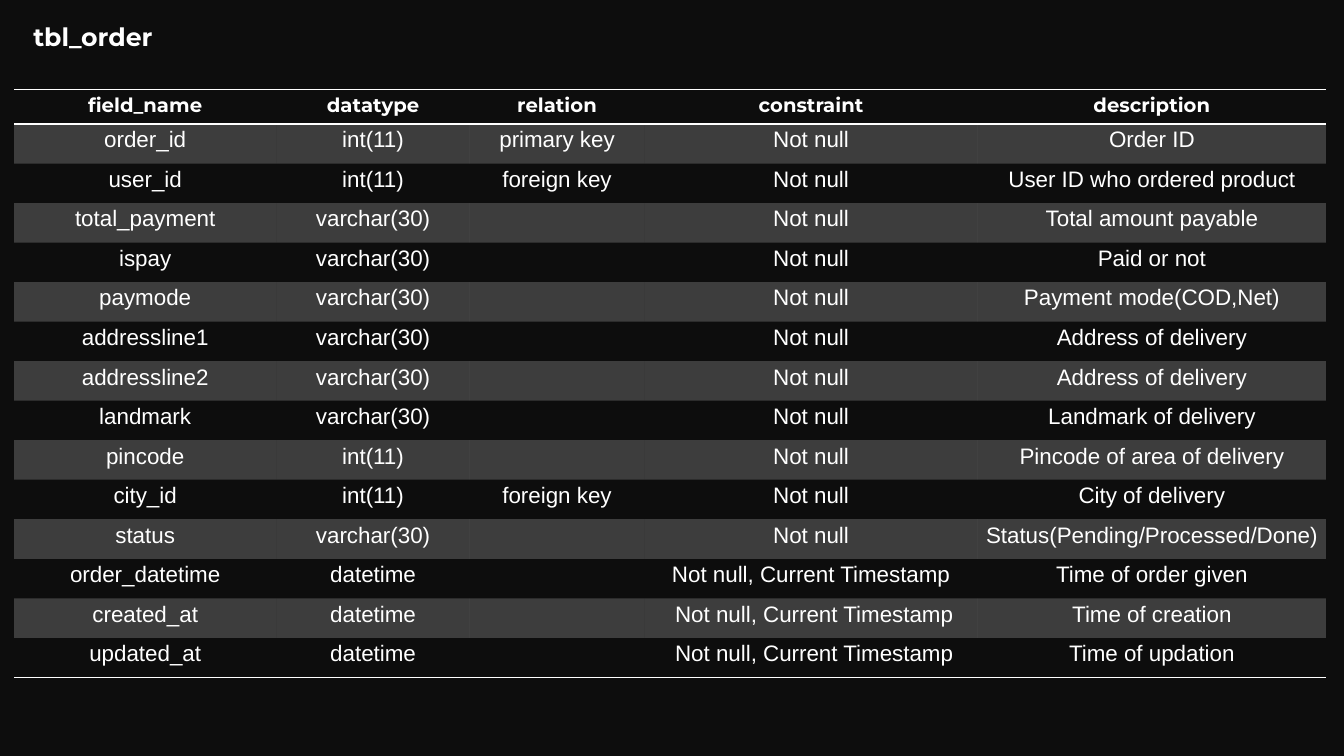
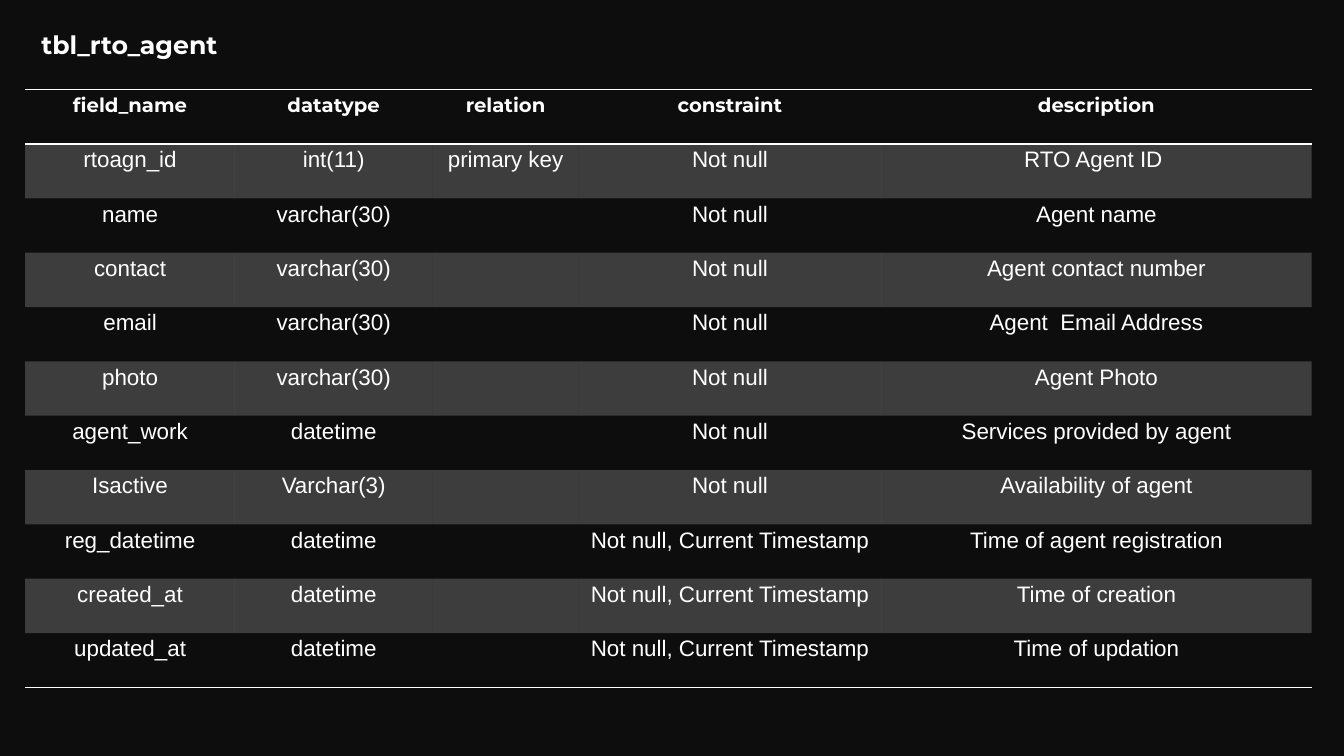
from dataclasses import astuple, dataclass

from lxml import etree
from pptx import Presentation
from pptx import util as u
from pptx.dml.color import RGBColor
from pptx.enum import text
from pptx.oxml.ns import qn

# Shared style
BACKGROUND = RGBColor(0x0D, 0x0D, 0x0D)
WHITE = RGBColor(0xFF, 0xFF, 0xFF)
HEAD_FONT, BODY_FONT = "Montserrat", "Arial"
BAND_ALPHA = 20
RULE_WIDTH = u.Pt(1)
PLAIN_STYLE = "{2D5ABB26-0587-4C30-8999-92F81FD0307C}"
TABLE_TOP = 0.89
TITLE_WIDTH, TITLE_HEIGHT = 3.08, 0.4
HEADINGS = ("field_name", "datatype", "relation", "constraint", "description")
STAMP = "Not null, Current Timestamp"
PADDED_STAMP = " " + STAMP


@dataclass
class Field:
    name: str
    datatype: str
    relation: str
    constraint: str
    description: str


@dataclass
class TableSlide:
    title: str
    title_at: tuple[float, float]
    left: float
    columns: tuple[float, ...]
    head_height: float
    row_height: float
    fields: list[Field]


ORDER = TableSlide(
    "tbl_order", (0.23, 0.16), 0.14, (2.6, 1.92, 1.73, 3.31, 3.45), 0.34, 5.49 / 14,
    [
        Field("order_id", "int(11)", "primary key", "Not null", "Order ID"),
        Field("user_id", "int(11)", "foreign key", "Not null", "User ID who ordered product"),
        Field("total_payment", "varchar(30)", "", "Not null", "Total amount payable"),
        Field("ispay", "varchar(30)", "", "Not null", "Paid or not"),
        Field("paymode", "varchar(30)", "", "Not null", "Payment mode(COD,Net)"),
        Field("addressline1", "varchar(30)", "", "Not null", "Address of delivery"),
        Field("addressline2", "varchar(30)", "", "Not null", "Address of delivery"),
        Field("landmark", "varchar(30)", "", "Not null", "Landmark of delivery"),
        Field("pincode", "int(11)", "", "Not null", "Pincode of area of delivery"),
        Field("city_id", "int(11)", "foreign key", "Not null", "City of delivery"),
        Field("status", "varchar(30)", "", "Not null", "Status(Pending/Processed/Done)"),
        Field("order_datetime", "datetime", "", STAMP, "Time of order given"),
        Field("created_at", "datetime", "", PADDED_STAMP, "Time of creation"),
        Field("updated_at", "datetime", "", PADDED_STAMP, "Time of updation"),
    ],
)

AGENT = TableSlide(
    "tbl_rto_agent", (0.31, 0.24), 0.25, (2.08, 1.96, 1.45, 3, 4.27), 5.93 / 11, 5.93 / 11,
    [
        Field("rtoagn_id", "int(11)", "primary key", "Not null", "RTO Agent ID "),
        Field("name", "varchar(30)", "", "Not null", "Agent name"),
        Field("contact", "varchar(30)", "", "Not null", "Agent contact number"),
        Field("email", "varchar(30)", "", "Not null", "Agent  Email Address"),
        Field("photo", "varchar(30)", "", "Not null", "Agent Photo"),
        Field("agent_work", "datetime", "", "Not null", "Services provided by agent"),
        Field("Isactive", "Varchar(3)", "", "Not null", "Availability of agent"),
        Field("reg_datetime", "datetime", "", STAMP, "Time of agent registration"),
        Field("created_at", "datetime", "", STAMP, "Time of creation"),
        Field("updated_at", "datetime", "", STAMP, "Time of updation"),
    ],
)


def write(p, words: str, *, size: float, font: str, bold: bool = False,
          align=text.PP_ALIGN.LEFT) -> None:
    """Put one formatted run into a paragraph."""
    p.alignment = align
    r = p.add_run()
    r.text = words
    r.font.size, r.font.name, r.font.bold = u.Pt(size), font, bold
    r.font.color.rgb = WHITE


def add_rule(cell, side: str) -> None:
    """Draw a white border on one side of a cell: T or B."""
    ln = etree.SubElement(cell._tc.get_or_add_tcPr(), qn(f"a:ln{side}"), w=str(RULE_WIDTH))
    fill = etree.SubElement(ln, qn("a:solidFill"))
    etree.SubElement(fill, qn("a:srgbClr"), val=str(WHITE))


def fill_band(cell) -> None:
    """Give a cell the translucent band colour."""
    cell.fill.solid()
    cell.fill.fore_color.rgb = WHITE
    color = cell._tc.tcPr.find(f".//{qn('a:solidFill')}[last()]/{qn('a:srgbClr')}")
    etree.SubElement(color, qn("a:alpha"), val=str(BAND_ALPHA * 1000))


def format_cell(cell, words: str, row: int, last: int) -> None:
    cell.margin_left = cell.margin_right = u.Inches(0.07)
    cell.margin_top = cell.margin_bottom = 0
    if words:
        p = cell.text_frame.paragraphs[0]
        p.line_spacing, p.space_after = 1.15, u.Pt(10)
        head = row == 0
        write(p, words, size=14 if head else 16, font=HEAD_FONT if head else BODY_FONT,
              bold=head, align=text.PP_ALIGN.CENTER)
    # Rules around the header and under the last row
    if row == 0:
        add_rule(cell, "T")
    if row in (0, last):
        add_rule(cell, "B")
    # Odd rows are banded
    if row % 2:
        fill_band(cell)
    else:
        cell.fill.background()


def add_table_slide(prs, spec_table: TableSlide) -> None:
    s = prs.slides.add_slide(prs.slide_layouts[5])

    # Title
    sp = s.shapes.title
    sp.left, sp.top = (u.Inches(v) for v in spec_table.title_at)
    sp.width, sp.height = u.Inches(TITLE_WIDTH), u.Inches(TITLE_HEIGHT)
    tf = sp.text_frame
    tf.auto_size = text.MSO_AUTO_SIZE.NONE
    tf.vertical_anchor = text.MSO_ANCHOR.MIDDLE
    write(tf.paragraphs[0], spec_table.title, size=18, font=HEAD_FONT, bold=True)

    # Table
    rows = [HEADINGS, *(astuple(field) for field in spec_table.fields)]
    last = len(rows) - 1
    height = spec_table.head_height + last * spec_table.row_height
    table = s.shapes.add_table(
        len(rows), len(HEADINGS), u.Inches(spec_table.left), u.Inches(TABLE_TOP),
        u.Inches(sum(spec_table.columns)), u.Inches(height)).table
    table.first_row = table.horz_banding = False
    table._tbl.tblPr.find(qn("a:tableStyleId")).text = PLAIN_STYLE
    for column, width in zip(table.columns, spec_table.columns):
        column.width = u.Inches(width)
    for i, values in enumerate(rows):
        table.rows[i].height = u.Inches(spec_table.row_height if i else spec_table.head_height)
        for j, words in enumerate(values):
            format_cell(table.cell(i, j), words, i, last)


def main() -> None:
    prs = Presentation()
    prs.slide_width, prs.slide_height = u.Inches(13.33), u.Inches(7.5)
    fill = prs.slide_master.background.fill
    fill.solid()
    fill.fore_color.rgb = BACKGROUND
    for table_slide in (ORDER, AGENT):
        add_table_slide(prs, table_slide)
    prs.save("out.pptx")


if __name__ == "__main__":
    main()
